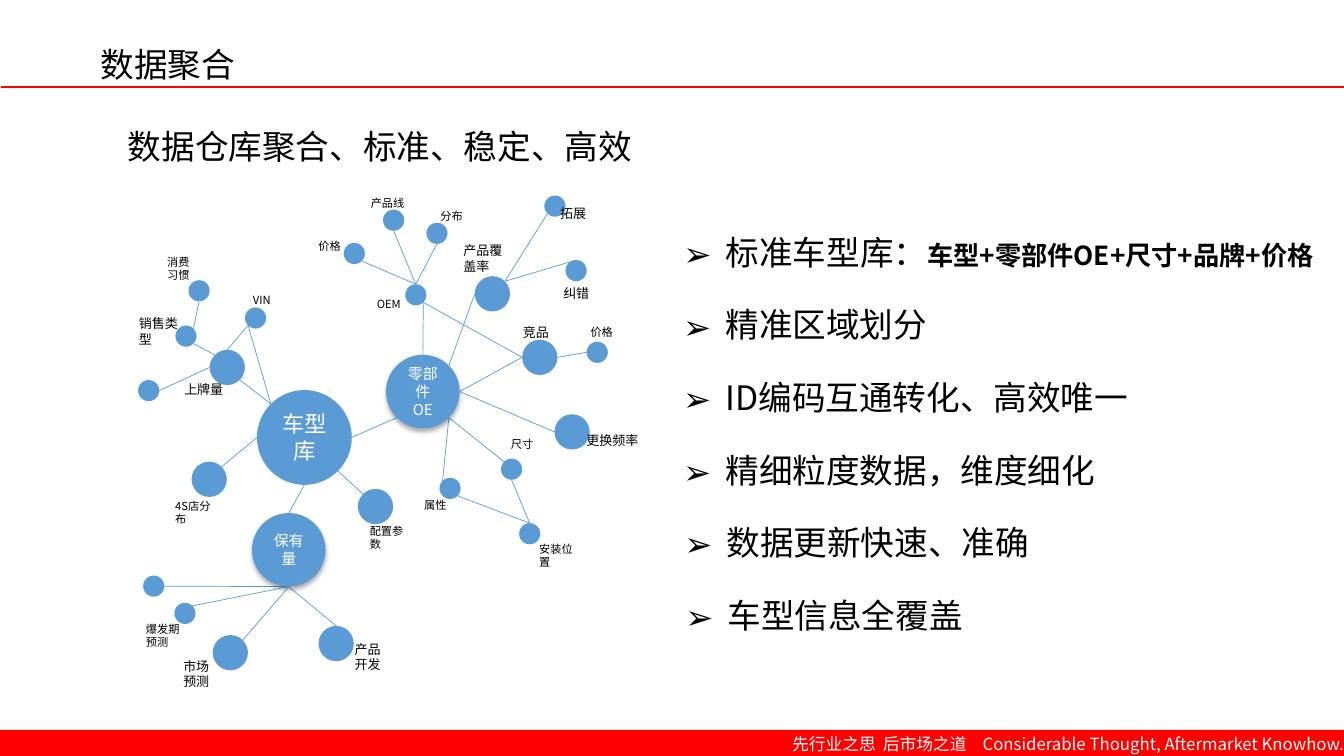
from math import cos, radians, sin

from lxml import etree
from pptx import Presentation
from pptx.dml.color import RGBColor
from pptx.enum.shapes import MSO_CONNECTOR, MSO_SHAPE
from pptx.enum.text import MSO_ANCHOR, PP_ALIGN
from pptx.oxml.ns import qn
from pptx.util import Inches, Pt

FONT = "Noto Sans CJK SC"
RED, BLUE, BLACK, WHITE = "FF0000", "5B9BD5", "000000", "FFFFFF"
UNIT = Inches(0.1)  # one column or row of the grid
COLS, ROWS = 133.33, 75
HUB, RING, BALL, DOT = 9.4, 7.3, 3.5, 2.1  # circle diameters

# key: left, top, diameter, text, size
HUBS = {
    "model": (25.5, 38.7, HUB, "车型库", 16),
    "part": (38.3, 35.2, RING, "零部件OE", 10.7),
    "stock": (25, 50.9, RING, "保有量", 10.7),
}

# key: left, top, diameter, then label: text, left, top, width, lines
NODES = {
    "oem": (40.2, 28.2, DOT, "OEM", 36.4, 29, 9.4, 1),
    "rival": (51.8, 33.7, BALL, "竞品", 50.9, 31.7, 9.4, 1),
    "rival price": (58.2, 33.9, DOT, "价格", 57.6, 31.8, 6.1, 1),
    "attribute": (43.6, 47.4, DOT, "属性", 41.1, 48.9, 5.7, 1),
    "size": (49.7, 45.5, DOT, "尺寸", 49.7, 42.9, 9.4, 1),
    "fitting": (51.5, 51.9, DOT, "安装位置", 52.5, 53.3, 5.7, 2),
    "replacement": (55, 41.1, BALL, "更换频率", 57.2, 42.4, 8.6, 1),
    "price": (34.1, 24.1, DOT, "价格", 30.6, 23.2, 6.1, 1),
    "spread": (42.3, 22.1, DOT, "分布", 42.7, 20.3, 6.1, 1),
    "line": (38, 20.8, DOT, "产品线", 35.8, 19, 6.1, 1),
    "forecast": (21.1, 63, BALL, "市场预测", 17.2, 64.8, 5.7, 2),
    "development": (31.6, 62.1, BALL, "产品开发", 34.2, 63.1, 5.7, 2),
    "settings": (35.5, 48.5, BALL, "配置参数", 35.7, 51.5, 5.7, 2),
    "coverage": (47.1, 27.4, BALL, "产品覆盖率", 45, 23.6, 6.7, 2),
    "correction": (56.1, 25.8, DOT, "纠错", 54.9, 27.8, 5.7, 1),
    "expansion": (54, 19.4, DOT, "拓展", 54.6, 19.9, 5.7, 1),
    "stores": (19, 45.8, BALL, "4S店分布", 16.4, 49, 5.7, 2),
    "outbreak": (17.3, 59.8, DOT, "爆发期预测", 13.5, 61.2, 6.4, 2),
    "plates": (20.8, 34.7, BALL, "上牌量", 17.3, 37.4, 7, 1),
    "vin": (24.3, 30.5, DOT, "VIN", 24.1, 28.6, 6.1, 1),
    "sales": (17.4, 32.3, DOT, "销售类型", 12.8, 30.8, 6.1, 2),
    "habit": (18.7, 27.8, DOT, "消费习惯", 15.6, 24.8, 5.1, 2),
    "stock leaf": (14.2, 57.1, DOT),
    "plates leaf": (13.7, 37.7, DOT),
}
SMALL_LABELS = {"oem", "rival price", "attribute", "size", "fitting", "price", "spread",
                "line", "settings", "stores", "outbreak", "vin", "habit"}

# Points on a circle where links end, as clockwise angles from the right
SITES = {name: i * 45 for i, name in enumerate(("R", "BR", "B", "BL", "L", "TL", "T", "TR"))}

# start circle, its site, then pairs of end circle and site
LINKS = [
    ("model", "R", [("part", "BL")]),
    ("model", "B", [("stock", "T")]),
    ("model", "BR", [("settings", "TL")]),
    ("model", "L", [("stores", "TR")]),
    ("model", "TL", [("plates", "BR"), ("vin", "BL")]),
    ("part", "T", [("oem", "BR")]),
    ("part", "R", [("rival", "L"), ("replacement", "L")]),
    ("part", "BR", [("attribute", "TL"), ("size", "TL")]),
    ("part", "TR", [("coverage", "L")]),
    ("rival", "R", [("rival price", "L")]),
    ("rival", "L", [("oem", "BR")]),
    ("fitting", "T", [("attribute", "BR"), ("size", "B")]),
    ("oem", "T", [("price", "BR"), ("spread", "B"), ("line", "B")]),
    ("coverage", "TR", [("correction", "T"), ("expansion", "BL")]),
    ("stock", "B", [("forecast", "TR"), ("development", "T"), ("outbreak", "TR"),
                    ("stock leaf", "R")]),
    ("plates", "T", [("vin", "BL")]),
    ("plates", "TL", [("sales", "BR")]),
    ("plates", "L", [("plates leaf", "R")]),
    ("sales", "TR", [("habit", "B")]),
]

# left, width, runs of text, size and bold
POINTS = [
    (66.8, 67.8, [("标准车型库：", 24, False), ("车型+零部件OE+尺寸+品牌+价格", 18.7, True)]),
    (66.8, 47.4, [("精准区域划分", 24, False)]),
    (66.8, 47.4, [("ID编码互通转化、高效唯一", 24, False)]),
    (66.8, 47.4, [("精细粒度数据，维度细化", 24, False)]),
    (66.9, 47.4, [("数据更新快速、准确", 24, False)]),
    (67, 47.4, [("车型信息全覆盖", 24, False)]),
]


def grid(*counts):
    return [int(n * UNIT) for n in counts]


def rgb(color):
    return RGBColor.from_string(color)


def add_run(p, text, size, bold=False, color=BLACK):
    r = p.add_run()
    r.text = text
    for name, value in {"name": FONT, "size": Pt(size), "bold": bold}.items():
        setattr(r.font, name, value)
    r.font.color.rgb = rgb(color)
    etree.SubElement(r.font._element, qn("a:ea"), typeface=FONT)


def add_text(s, x, y, w, h, text="", size=24):
    """Add a wrapping text box and return its first paragraph."""
    tf = s.shapes.add_textbox(*grid(x, y, w, h)).text_frame
    tf.word_wrap = True
    p = tf.paragraphs[0]
    if text:
        add_run(p, text, size)
    return p


def add_filled(s, kind, x, y, w, h, color):
    sp = s.shapes.add_shape(kind, *grid(x, y, w, h))
    sp.shadow.inherit = False
    sp.fill.solid()
    sp.fill.fore_color.rgb = rgb(color)
    sp.line.fill.background()
    return sp


def add_line(s, start, end, color, width):
    c = s.shapes.add_connector(MSO_CONNECTOR.STRAIGHT, *grid(*start, *end))
    c.line.color.rgb = rgb(color)
    c.line.width = Pt(width)
    etree.SubElement(c._element.spPr, qn("a:effectLst"))


def add_drop_shadow(sp):
    shadow = etree.SubElement(sp._element.spPr.find(qn("a:effectLst")), qn("a:outerShdw"),
                              blurRad=str(Pt(3.5)), dist=str(Pt(2.2)), dir="5400000",
                              rotWithShape="0")
    tint = etree.SubElement(shadow, qn("a:srgbClr"), val=BLACK)
    etree.SubElement(tint, qn("a:alpha"), val="32000")


def add_hub(s, x, y, d, text, size):
    sp = add_filled(s, MSO_SHAPE.OVAL, x, y, d, d, BLUE)
    if d == RING:
        add_drop_shadow(sp)
    tf = sp.text_frame
    tf.vertical_anchor = MSO_ANCHOR.MIDDLE
    p = tf.paragraphs[0]
    p.alignment = PP_ALIGN.CENTER
    add_run(p, text, size, color=WHITE)


def add_node(s, x, y, d, label, size):
    add_filled(s, MSO_SHAPE.OVAL, x, y, d, d, BLUE)
    if label:
        text, left, top, width, lines = label
        add_text(s, left, top, width, 1 + lines * size * 0.17, text, size)


def site_point(key, site):
    x, y, d = (HUBS | NODES)[key][:3]
    angle, radius = radians(SITES[site]), d / 2
    return x + radius * (1 + cos(angle)), y + radius * (1 + sin(angle))


def add_network(s):
    for key, site, ends in LINKS:
        for end in ends:
            add_line(s, site_point(key, site), site_point(*end), BLUE, 0.5)
    for hub in HUBS.values():
        add_hub(s, *hub)
    for key, (x, y, d, *label) in NODES.items():
        add_node(s, x, y, d, label, 8 if key in SMALL_LABELS else 9.3)


def add_point(s, x, y, w, runs):
    p = add_text(s, x, y, w, 5)
    pPr = p._p.get_or_add_pPr()
    pPr.set("marL", str(Inches(0.42)))
    pPr.set("indent", str(-Inches(0.42)))
    etree.SubElement(pPr, qn("a:buFont"), typeface=FONT)
    etree.SubElement(pPr, qn("a:buChar"), char="➢")
    for run in runs:
        add_run(p, *run)


def add_title(s, text):
    sp = s.shapes.title
    for name, value in zip(("left", "top", "width", "height"), grid(9, 3.9, 20.9, 5)):
        setattr(sp, name, value)
    tf = sp.text_frame
    tf.vertical_anchor = MSO_ANCHOR.TOP
    p = tf.paragraphs[0]
    p.alignment = PP_ALIGN.LEFT
    add_run(p, text, 24)
    add_line(s, (0.1, 8.6), (COLS, 8.6), RED, 1.5)


def add_footer(s, parts):
    add_filled(s, MSO_SHAPE.RECTANGLE, 0, 72.4, COLS, ROWS - 72.4, RED)
    p = add_text(s, 77.6, 72.3, 58, 3)
    tabs = etree.SubElement(p._p.get_or_add_pPr(), qn("a:tabLst"))
    for stop in (0.9, 1.89):
        etree.SubElement(tabs, qn("a:tab"), pos=str(Inches(stop)), algn="l")
    add_run(p, "\t".join(parts), 12, color=WHITE)


def main():
    prs = Presentation()
    prs.slide_width, prs.slide_height = grid(COLS, ROWS)
    s = prs.slides.add_slide(prs.slide_layouts[5])
    add_title(s, "数据聚合")
    add_footer(s, ("先行业之思", "后市场之道", "Considerable Thought, Aftermarket Knowhow."))
    add_network(s)
    add_text(s, 11.7, 12, 55.1, 5, "数据仓库聚合、标准、稳定、高效")
    for i, (x, w, runs) in enumerate(POINTS):
        add_point(s, x, 22.5 + 7.2 * i, w, runs)
    prs.save("out.pptx")


if __name__ == "__main__":
    main()
